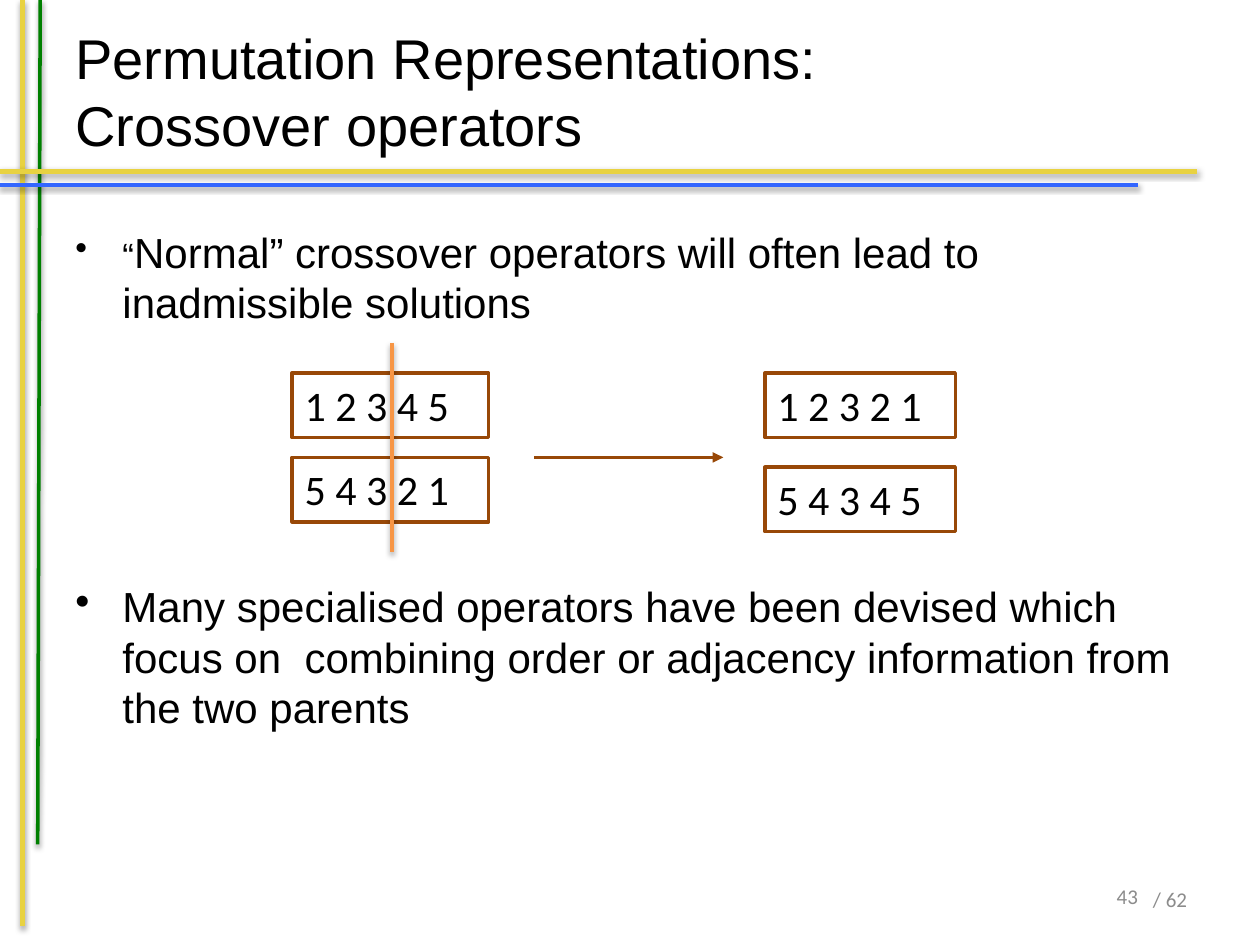
from dataclasses import dataclass
from typing import Optional

import pptx
import pptx.dml.color
import pptx.enum.shapes
import pptx.enum.text
import pptx.oxml
import pptx.oxml.ns
import pptx.util
from pptx.dml.color import RGBColor
from pptx.enum.text import MSO_ANCHOR, PP_ALIGN
from pptx.util import Cm, Pt

BLACK = RGBColor(0x00, 0x00, 0x00)
WHITE = RGBColor(0xFF, 0xFF, 0xFF)
GREY = RGBColor(0x8C, 0x8C, 0x8C)
YELLOW = RGBColor(0xE8, 0xD2, 0x41)
GREEN = RGBColor(0x00, 0x80, 0x00)
BLUE = RGBColor(0x33, 0x66, 0xFF)
BROWN = RGBColor(0x98, 0x48, 0x07)
ORANGE = RGBColor(0xF7, 0x96, 0x46)

NSDECL = pptx.oxml.ns.nsdecls("a")
SOFT_SHADOW = (
    f'<a:effectLst {NSDECL}><a:outerShdw blurRad="39370" dist="20320" dir="5400000" '
    'rotWithShape="0"><a:srgbClr val="000000"><a:alpha val="38000"/></a:srgbClr>'
    "</a:outerShdw></a:effectLst>"
)
NO_EFFECT = f"<a:effectLst {NSDECL}/>"


@dataclass
class Rule:
    """A straight line; coordinates in centimetres."""
    x1: float
    y1: float
    x2: float
    y2: float
    color: RGBColor
    width: float = 2
    shadow: bool = True
    arrow: bool = False


@dataclass
class Label:
    """A plain text area; coordinates in centimetres."""
    left: float
    top: float
    width: float
    height: float
    text: str
    size: float
    font: str
    color: RGBColor = BLACK
    align: PP_ALIGN = PP_ALIGN.LEFT
    line_height: Optional[float] = None


@dataclass
class Chromosome:
    """A boxed permutation; coordinates in centimetres."""
    left: float
    top: float
    width: float
    genes: str


FRAME_RULES = [
    Rule(0.46, 0, 0.46, 18.67, YELLOW, width=3),
    Rule(0.81, 0, 0.76, 17.02, GREEN),
    Rule(0, 3.45, 24.13, 3.45, YELLOW, width=3),
    Rule(0, 3.73, 22.94, 3.73, BLUE),
]
LABELS = [
    Label(21.21, 17.42, 2.97, 1.4, "/ 62", 12, "Calibri", GREY, PP_ALIGN.RIGHT),
    Label(1.27, 0.23, 22.86, 3.18, "Permutation Representations:\vCrossover operators",
          32, "Arial", line_height=38.3),
    Label(21.16, 17.37, 2.03, 1.4, "43", 12, "Calibri", GREY, PP_ALIGN.RIGHT),
]
PARENT_X, PARENT_WIDTH = 5.89, 3.96
CHILD_X, CHILD_WIDTH = 15.42, 3.84
BOX_HEIGHT = 1.3
CHROMOSOMES = [
    Chromosome(PARENT_X, 7.52, PARENT_WIDTH, "1 2 3 4 5"),
    Chromosome(PARENT_X, 9.22, PARENT_WIDTH, "5 4 3 2 1"),
    Chromosome(CHILD_X, 7.52, CHILD_WIDTH, "1 2 3 2 1"),
    Chromosome(CHILD_X, 9.42, CHILD_WIDTH, "5 4 3 4 5"),
]
CUT_AND_ARROW = [
    Rule(7.9, 6.91, 7.9, 11.13, ORANGE),
    Rule(10.77, 9.22, 14.58, 9.22, BROWN, shadow=False, arrow=True),
]


def style_font(font, size: float, name: str, color: RGBColor) -> None:
    font.size, font.name = Pt(size), name
    font.color.rgb = color


def draw_rule(slide, rule: Rule) -> None:
    line = slide.shapes.add_connector(
        pptx.enum.shapes.MSO_CONNECTOR.STRAIGHT,
        Cm(rule.x1), Cm(rule.y1), Cm(rule.x2), Cm(rule.y2))
    line.line.color.rgb = rule.color
    line.line.width = Pt(rule.width)
    properties = line._element.spPr
    if rule.arrow:
        properties.ln.append(pptx.oxml.parse_xml(f'<a:tailEnd {NSDECL} type="triangle"/>'))
    properties.append(pptx.oxml.parse_xml(SOFT_SHADOW if rule.shadow else NO_EFFECT))


def draw_label(slide, label: Label) -> None:
    frame = slide.shapes.add_textbox(
        Cm(label.left), Cm(label.top), Cm(label.width), Cm(label.height)).text_frame
    frame.word_wrap = True
    frame.vertical_anchor = MSO_ANCHOR.MIDDLE
    frame.text = label.text
    paragraph = frame.paragraphs[0]
    paragraph.alignment = label.align
    if label.line_height:
        paragraph.line_spacing = Pt(label.line_height)
    style_font(paragraph.font, label.size, label.font, label.color)


def draw_chromosome(slide, chromosome: Chromosome) -> None:
    box = slide.shapes.add_shape(
        pptx.enum.shapes.MSO_SHAPE.RECTANGLE, Cm(chromosome.left), Cm(chromosome.top),
        Cm(chromosome.width), Cm(BOX_HEIGHT))
    box.shadow.inherit = False
    box.fill.solid()
    box.fill.fore_color.rgb = WHITE
    box.line.color.rgb = BROWN
    box.line.width = Pt(2)
    frame = box.text_frame
    frame.word_wrap = True
    frame.vertical_anchor = MSO_ANCHOR.TOP
    frame.text = chromosome.genes
    paragraph = frame.paragraphs[0]
    paragraph.alignment = PP_ALIGN.LEFT
    style_font(paragraph.font, 24, "Calibri", BLACK)


def format_bullet(paragraph, space_before: float) -> None:
    paragraph.space_before = Pt(space_before)
    paragraph.line_spacing = Pt(28.7)
    style_font(paragraph.font, 24, "Arial", BLACK)
    properties = paragraph._p.get_or_add_pPr()
    properties.set("marL", str(Cm(0.95)))
    properties.set("indent", str(-Cm(0.95)))
    bullet = pptx.oxml.parse_xml(f'<a:buChar {NSDECL} char="•"/>')
    properties.insert_element_before(bullet, "a:tabLst", "a:defRPr", "a:extLst")


def draw_body(slide) -> None:
    frame = slide.shapes.add_textbox(Cm(1.27), Cm(4.45), Cm(22.86), Cm(12.57)).text_frame
    frame.word_wrap = True
    problem = frame.paragraphs[0]
    opening_quote = problem.add_run()
    opening_quote.text = "“"
    problem.add_run().text = ("Normal” crossover operators will often lead to "
                              "inadmissible solutions")
    format_bullet(problem, 4)
    opening_quote.font.size = Pt(20)

    # The space before the second point leaves room for the diagram
    remedy = frame.add_paragraph()
    remedy.text = ("Many specialised operators have been devised which focus on  combining "
                   "order or adjacency information from the two parents")
    format_bullet(remedy, 145)


def main() -> None:
    presentation = pptx.Presentation()
    presentation.slide_width, presentation.slide_height = Cm(25.4), Cm(19.05)
    slide = presentation.slides.add_slide(presentation.slide_layouts[6])

    # Frame lines, title, page number
    for rule in FRAME_RULES:
        draw_rule(slide, rule)
    for label in LABELS:
        draw_label(slide, label)

    # Bullet points
    draw_body(slide)

    # Crossover diagram
    for chromosome in CHROMOSOMES:
        draw_chromosome(slide, chromosome)
    for rule in CUT_AND_ARROW:
        draw_rule(slide, rule)

    presentation.save("out.pptx")


if __name__ == "__main__":
    main()
